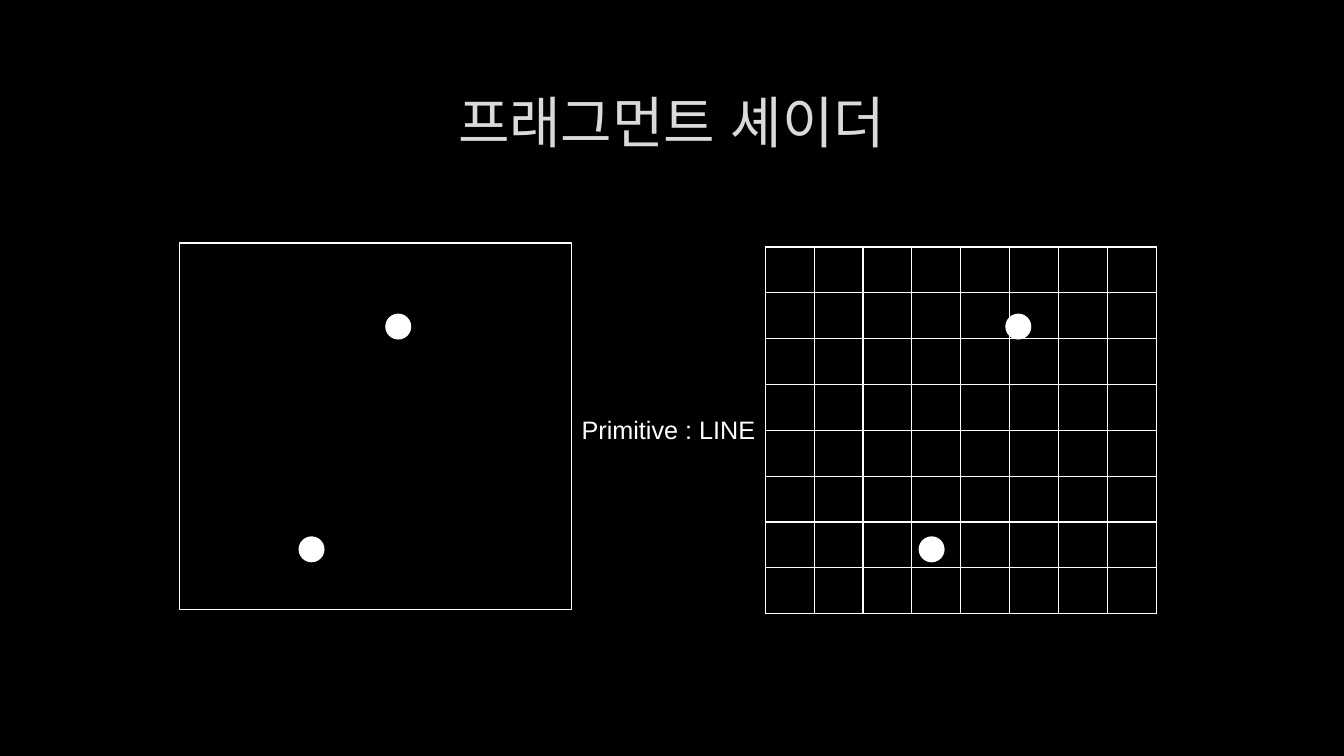
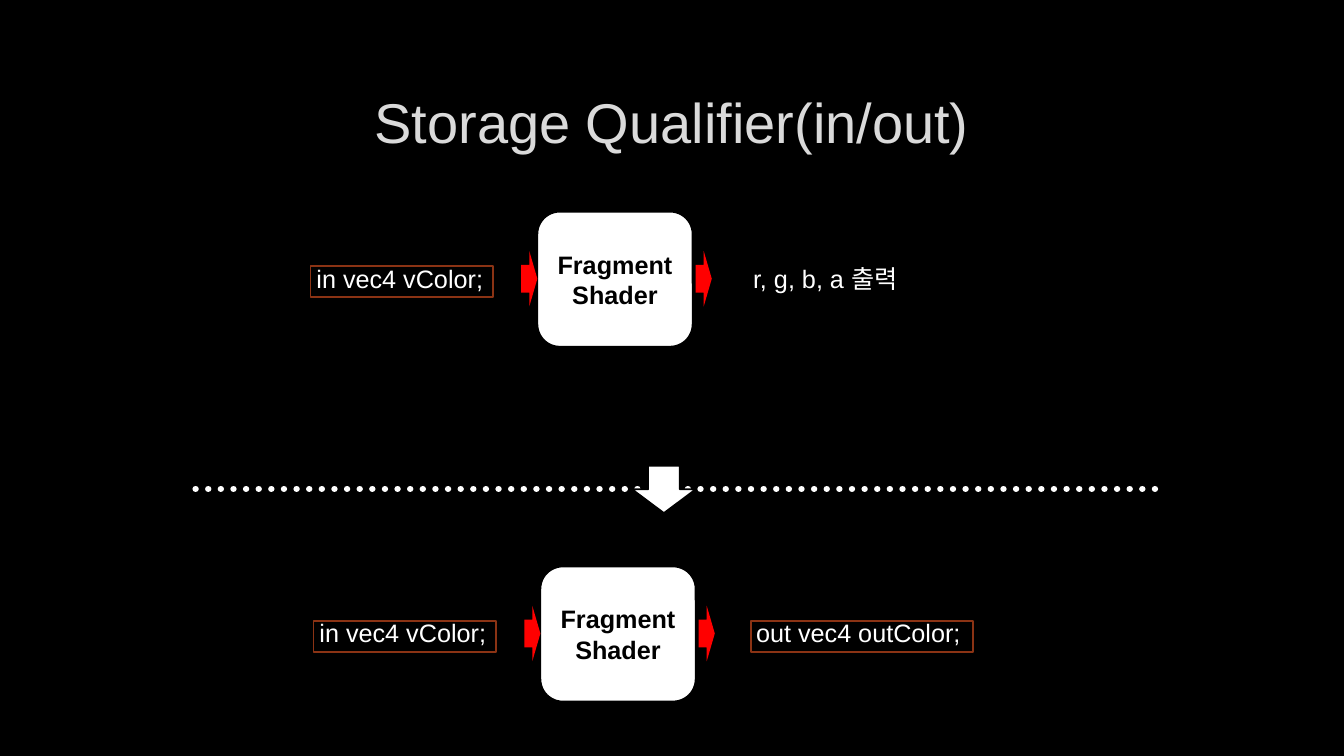
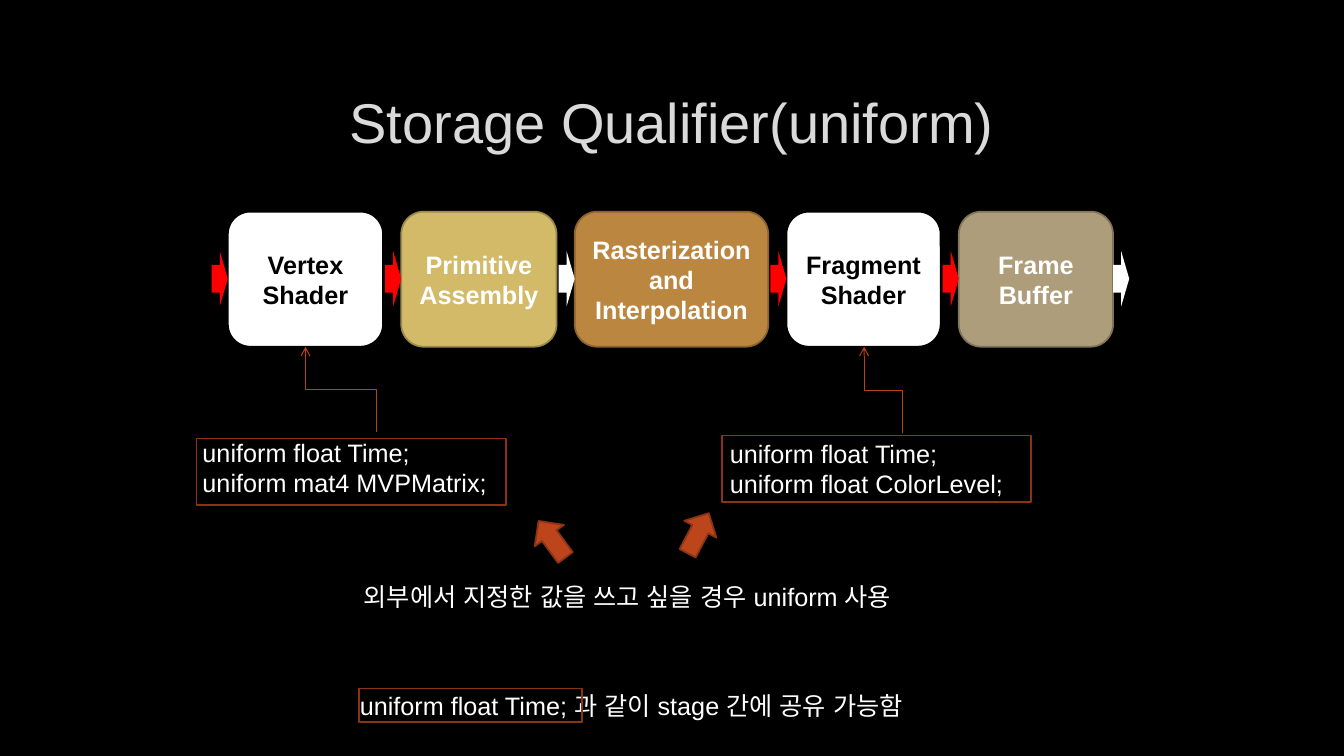
import pptx
import pptx.util
import pptx.dml.color
import pptx.enum.dml
import pptx.enum.shapes
import pptx.enum.text
import pptx.oxml
import pptx.oxml.ns

Inches, Pt = pptx.util.Inches, pptx.util.Pt
RGBColor = pptx.dml.color.RGBColor
SHAPE = pptx.enum.shapes.MSO_SHAPE
LINK = pptx.enum.shapes.MSO_CONNECTOR
ALIGN = pptx.enum.text.PP_ALIGN
ANCHOR = pptx.enum.text.MSO_ANCHOR
FIT = pptx.enum.text.MSO_AUTO_SIZE
qn = pptx.oxml.ns.qn

BLACK = RGBColor(0x00, 0x00, 0x00)
WHITE = RGBColor(0xFF, 0xFF, 0xFF)
RED = RGBColor(0xFF, 0x00, 0x00)
TITLE_GREY = RGBColor(0xDA, 0xDA, 0xDA)
RUST = RGBColor(0xBC, 0x45, 0x1B)
RUST_LINK = RGBColor(0xB4, 0x42, 0x1A)
RUST_EDGE = RGBColor(0x8B, 0x33, 0x14)
GOLD = RGBColor(0xD3, 0xBA, 0x68)
GOLD_EDGE = RGBColor(0x9C, 0x8A, 0x4D)
BRONZE = RGBColor(0xBB, 0x86, 0x40)
BRONZE_EDGE = RGBColor(0x8A, 0x63, 0x2F)
KHAKI = RGBColor(0xAD, 0x9D, 0x7B)
KHAKI_EDGE = RGBColor(0x80, 0x74, 0x5B)

FONT = "Arial"
NS = 'xmlns:a="http://schemas.openxmlformats.org/drawingml/2006/main"'
TITLE_OUTLINE = (f'<a:ln {NS} w="9525"><a:solidFill><a:srgbClr val="404040">'
                 '<a:alpha val="10000"/></a:srgbClr></a:solidFill></a:ln>')
ARROW_W, STAGE_GAP = 0.16, 0.18


class Deck:
    """Shared style and the slide being drawn."""

    def __init__(self):
        self.prs = pptx.Presentation()
        self.prs.slide_width, self.prs.slide_height = Inches(13.33), Inches(7.5)
        fill = self.prs.slide_master.background.fill
        fill.solid()
        fill.fore_color.rgb = BLACK
        self.shapes = None

    def slide(self, title):
        self.shapes = self.prs.slides.add_slide(self.prs.slide_layouts[5]).shapes
        sp = self.shapes.title
        sp.left, sp.top, sp.width, sp.height = map(Inches, (1, 0.67, 11.32, 1.06))
        tf = sp.text_frame
        tf.auto_size = FIT.NONE
        tf.vertical_anchor = ANCHOR.MIDDLE
        p = tf.paragraphs[0]
        p.alignment = ALIGN.CENTER
        r = self.run(p, title, TITLE_GREY, 40)
        r.font._element.insert(0, pptx.oxml.parse_xml(TITLE_OUTLINE))

    def run(self, p, text, color, size=18, bold=False):
        r = p.add_run()
        r.text = text
        r.font.size, r.font.name, r.font.bold = Pt(size), FONT, bold
        r.font.color.rgb = color
        r.font._element.append(
            pptx.oxml.parse_xml(f'<a:ea {NS} typeface="{FONT}"/>'))
        return r

    def text(self, left, top, width, *lines):
        height = 0.1 + 0.3 * len(lines)
        sp = self.shapes.add_textbox(*map(Inches, (left, top, width, height)))
        tf = sp.text_frame
        tf.word_wrap = True
        tf.auto_size = FIT.SHAPE_TO_FIT_TEXT
        for i, line in enumerate(lines):
            p = tf.add_paragraph() if i else tf.paragraphs[0]
            self.run(p, line, WHITE)

    def shape(self, kind, left, top, width, height, fill=None, edge=None, weight=1.25):
        sp = self.shapes.add_shape(kind, *map(Inches, (left, top, width, height)))
        sp.shadow.inherit = False
        if fill is None:
            sp.fill.background()
        else:
            sp.fill.solid()
            sp.fill.fore_color.rgb = fill
        if edge is None:
            sp.line.fill.background()
        else:
            sp.line.color.rgb = edge
            sp.line.width = Pt(weight)
        return sp

    def frame(self, left, top, width, height):
        self.shape(SHAPE.RECTANGLE, left, top, width, height, edge=RUST_EDGE)

    def dot(self, left, top):
        self.shape(SHAPE.OVAL, left, top, 0.24, 0.24, WHITE, WHITE)

    def flow_arrow(self, left, top, color):
        self.shape(SHAPE.RIGHT_ARROW, left, top, ARROW_W, 0.55, color)

    def pipeline(self, left, top, stages, out_gap, out_color):
        """Stages (label, width, fill, edge, text colour, colour of arrow in)."""
        for label, width, fill, edge, color, arrow in stages:
            sp = self.shape(SHAPE.ROUNDED_RECTANGLE, left, top, width, 1.34, fill, edge)
            tf = sp.text_frame
            tf.word_wrap = True
            tf.vertical_anchor = ANCHOR.MIDDLE
            p = tf.paragraphs[0]
            p.alignment = ALIGN.CENTER
            self.run(p, label, color, bold=True)
            self.flow_arrow(left - ARROW_W, top + 0.39, arrow)
            end = left + width
            left = end + STAGE_GAP
        self.flow_arrow(end + out_gap, top + 0.39, out_color)

    def connector(self, kind, x1, y1, x2, y2, color, weight):
        cx = self.shapes.add_connector(kind, *map(Inches, (x1, y1, x2, y2)))
        cx.line.color.rgb = color
        cx.line.width = Pt(weight)
        cx._element.spPr.append(pptx.oxml.parse_xml(f'<a:effectLst {NS}/>'))
        return cx

    def dotted_line(self, x1, x2, y):
        cx = self.connector(LINK.STRAIGHT, x1, y, x2, y, WHITE, 4.5)
        cx.line.dash_style = pptx.enum.dml.MSO_LINE.ROUND_DOT
        cx._element.spPr.find(qn("a:ln")).set("cap", "rnd")

    def elbow_up(self, x1, y1, x2, y2):
        """Elbow that leaves upwards: a sideways one turned by 270 degrees."""
        mx, my = (x1 + x2) / 2, (y1 + y2) / 2
        dx, dy = (y1 - y2) / 2, (x1 - x2) / 2
        cx = self.connector(LINK.ELBOW, mx - dx, my + dy, mx + dx, my - dy,
                            RUST_LINK, 0.75)
        spPr = cx._element.spPr
        spPr.find(qn("a:xfrm")).set("rot", str(270 * 60000))
        spPr.find(qn("a:ln")).append(
            pptx.oxml.parse_xml(f'<a:tailEnd {NS} type="arrow"/>'))

    def grid(self, left, top, width, height, n):
        tb = self.shapes.add_table(
            n, n, *map(Inches, (left, top, width, height))).table
        tb.first_row = tb.horz_banding = False
        for cell in tb.iter_cells():
            cell.fill.background()
            tcPr = cell._tc.get_or_add_tcPr()
            for i, side in enumerate("LRTB"):
                tcPr.insert(i, pptx.oxml.parse_xml(
                    f'<a:ln{side} {NS} w="12700"><a:solidFill>'
                    f'<a:srgbClr val="{WHITE}"/></a:solidFill></a:ln{side}>'))


def shader(label, width, arrow=RED):
    return label, width, WHITE, BLACK, BLACK, arrow


def main():
    d = Deck()

    # Fragment shader: a line's two points, then the pixel grid
    d.slide("프래그먼트 셰이더")
    d.grid(7.59, 2.45, 3.88, 3.64, 8)
    for shift in (0, 6.15):
        d.dot(2.97 + shift, 5.33)
        d.dot(3.83 + shift, 3.12)
    d.text(5.67, 4.06, 1.95, "Primitive : LINE")
    d.shape(SHAPE.RECTANGLE, 1.78, 2.41, 3.89, 3.64, edge=WHITE, weight=1)

    # In/out: the same stage before and after
    d.slide("Storage Qualifier(in/out)")
    for left, top, output in ((5.33, 2.1, "r, g, b, a 출력"),
                              (5.36, 5.62, "out vec4 outColor;")):
        d.pipeline(left, top, [shader("Fragment Shader", 1.54)], 0.03, RED)
        d.text(left - 2.29, top + 0.46, 2.13, "in vec4 vColor;")
        d.frame(left - 2.25, top + 0.54, 1.81, 0.31)
        d.text(left + 2.04, top + 0.46, 3.01, output)
    d.frame(7.45, 6.16, 2.2, 0.31)
    d.dotted_line(1.94, 11.47, 4.85)
    d.shape(SHAPE.DOWN_ARROW, 6.27, 4.62, 0.63, 0.47, WHITE, BLACK)

    # Uniform: the whole pipeline
    d.slide("Storage Qualifier(uniform)")
    d.pipeline(2.26, 2.1, [
        shader("Vertex Shader", 1.54),
        ("Primitive Assembly", 1.54, GOLD, GOLD_EDGE, WHITE, RED),
        ("Rasterization and Interpolation", 1.92, BRONZE, BRONZE_EDGE, WHITE, WHITE),
        shader("Fragment Shader", 1.53),
        ("Frame Buffer", 1.53, KHAKI, KHAKI_EDGE, WHITE, RED),
    ], 0, WHITE)

    # Uniform declarations linked to their shaders
    d.text(1.91, 4.29, 3.62, "uniform float Time;", "uniform mat4 MVPMatrix;")
    d.elbow_up(3.73, 4.29, 3.03, 3.44)
    d.text(7.14, 4.3, 3.62, "uniform float Time;", "uniform float ColorLevel;")
    d.elbow_up(8.95, 4.3, 8.57, 3.44)
    d.frame(1.95, 4.35, 3.07, 0.66)
    d.frame(7.16, 4.32, 3.07, 0.66)

    # Explanation
    for left, top, angle in ((5.25, 5.17, 233.7), (6.7, 5.11, 297.8)):
        sp = d.shape(SHAPE.RIGHT_ARROW, left, top, 0.45, 0.36, RUST, RUST_EDGE)
        sp.rotation = angle
    d.text(3.51, 5.72, 6.14, "외부에서 지정한 값을 쓰고 싶을 경우 uniform 사용")
    d.text(3.47, 6.8, 6.38, "uniform float Time; 과 같이 stage 간에 공유 가능함")
    d.frame(3.56, 6.83, 2.21, 0.33)

    d.prs.save("out.pptx")


if __name__ == "__main__":
    main()
